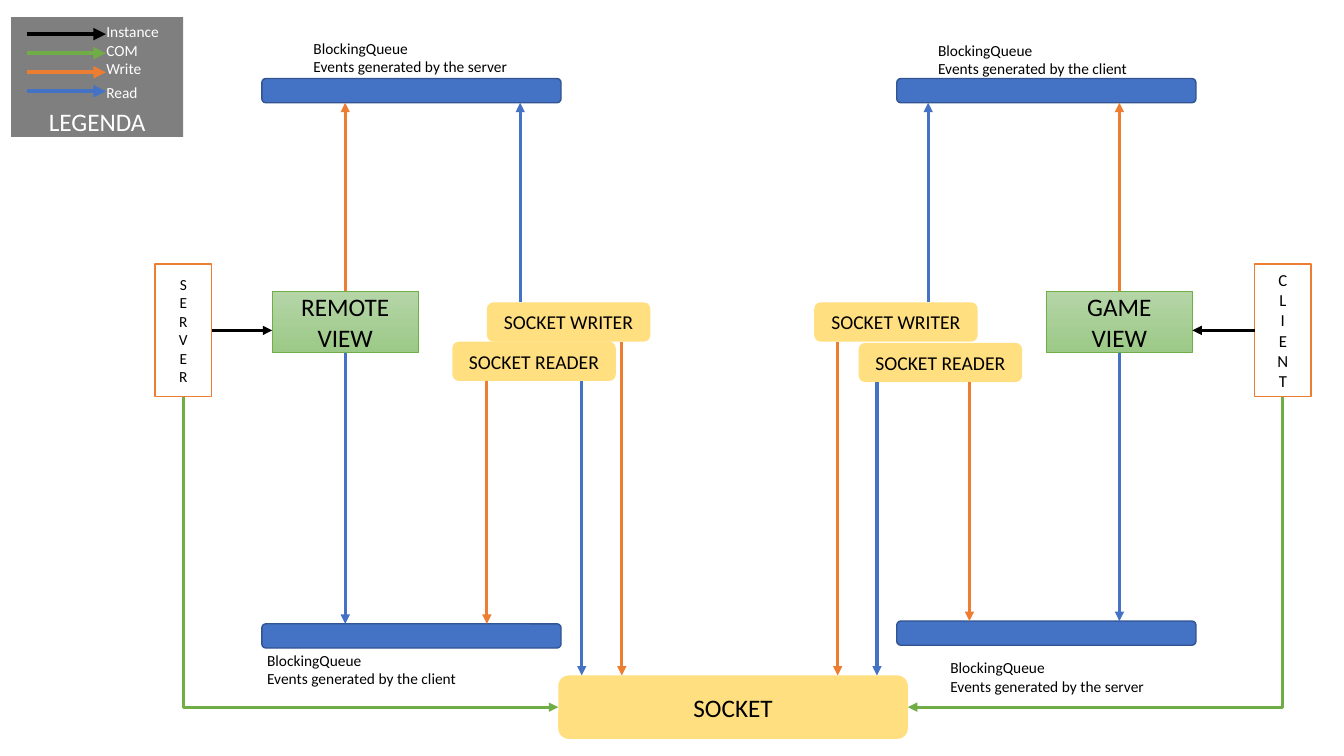
from dataclasses import dataclass

from lxml.etree import SubElement
from pptx import Presentation
from pptx.dml.color import RGBColor
from pptx.enum.shapes import MSO_CONNECTOR, MSO_SHAPE
from pptx.enum.text import MSO_ANCHOR, PP_ALIGN
from pptx.oxml.ns import qn
from pptx.util import Cm, Pt


@dataclass(frozen=True)
class Theme:
    font: str = "Calibri"
    black: str = "000000"
    white: str = "FFFFFF"
    blue: str = "4472C4"
    navy: str = "325491"
    orange: str = "ED7D31"
    green: str = "70AD47"
    gold: str = "FFC000"
    light_green: str = "B5D5A7"
    mid_green: str = "9CC987"
    small: int = 11
    letter: int = 12
    medium: int = 14
    large: int = 18
    arrow: float = 2.25
    legend_arrow: float = 3


T = Theme()
TOP, LEFT, BOTTOM, RIGHT = range(4)
HALF = 50  # percent opacity

# Kind of box: preset, size in cm, fill, opacity, line colour, line width, type size
KINDS = {
    "legend": (MSO_SHAPE.RECTANGLE, (4.34, 3.02), T.black, HALF, None, 0, T.large),
    "server": (MSO_SHAPE.RECTANGLE, (1.42, 3.35), T.white, None, T.orange, 1, T.small),
    "client": (MSO_SHAPE.RECTANGLE, (1.42, 3.35), T.white, None, T.orange, 1, T.letter),
    "socket": (MSO_SHAPE.ROUNDED_RECTANGLE, (8.81, 1.6), T.gold, HALF, None, 0, T.large),
    "view": (MSO_SHAPE.RECTANGLE, (3.68, 1.55), (T.light_green, T.mid_green), None,
             T.green, 0.5, T.large),
    "queue": (MSO_SHAPE.ROUNDED_RECTANGLE, (7.54, 0.61), T.blue, None, T.navy, 1, T.small),
    "worker": (MSO_SHAPE.ROUNDED_RECTANGLE, (4.12, 0.99), T.gold, HALF, None, 0, T.medium),
}

# Name: kind, left, top, text
BOXES = {
    "legend": ("legend", 0.28, 0.43, "LEGENDA"),
    "server": ("server", 3.91, 6.65, "S\nE\nR\nV\nE\nR"),
    "client": ("client", 31.62, 6.65, "C\nL\nI\nE\nN\nT"),
    "socket": ("socket", 14.07, 17.02, "SOCKET"),
    "remote view": ("view", 6.86, 7.34, "REMOTE\nVIEW"),
    "game view": ("view", 26.37, 7.34, "GAME\nVIEW"),
    "server out": ("queue", 6.6, 1.98, ""),
    "server in": ("queue", 6.6, 15.72, ""),
    "client out": ("queue", 22.6, 1.98, ""),
    "client in": ("queue", 22.6, 15.65, ""),
    "server writer": ("worker", 12.27, 7.62, "SOCKET WRITER"),
    "client writer": ("worker", 20.52, 7.62, "SOCKET WRITER"),
    "server reader": ("worker", 11.4, 8.61, "SOCKET READER"),
    "client reader": ("worker", 21.64, 8.64, "SOCKET READER"),
}

QUEUE_LABELS = [  # left, top, whose events
    (7.65, 0.86, "server"),
    (6.48, 16.28, "client"),
    (23.39, 0.91, "client"),
    (23.7, 16.46, "server"),
]

VERTICAL_ARROWS = [  # from, to, colour, x (None: middle of the first box)
    ("remote view", "server out", T.orange, None),
    ("remote view", "server in", T.blue, None),
    ("game view", "client out", T.orange, None),
    ("game view", "client in", T.blue, None),
    ("server writer", "server out", T.blue, 13.11),
    ("server writer", "socket", T.orange, 15.67),
    ("server reader", "socket", T.blue, 14.66),
    ("server reader", "server in", T.orange, 12.27),
    ("client writer", "client out", T.blue, 23.39),
    ("client writer", "socket", T.orange, 21.11),
    ("client reader", "socket", T.blue, 22.1),
    ("client reader", "client in", T.orange, 24.43),
]

SIDES = [("server", "remote view", RIGHT, LEFT), ("client", "game view", LEFT, RIGHT)]

LEGEND = [  # text, colour, top of the text
    ("Instance", T.black, 0.43),
    ("COM", T.green, 0.91),
    ("Write", T.orange, 1.37),
    ("Read", T.blue, 1.98),
]
LEGEND_Y, LEGEND_PITCH = 0.86, 0.48
LEGEND_X = (0.69, 2.67)


def rgb(code):
    return RGBColor.from_string(code)


def write(tf, text, size, color, align=PP_ALIGN.LEFT):
    p = tf.paragraphs[0]
    p.alignment = align
    for i, line in enumerate(text.split("\n")):
        if i:
            p.add_line_break()
        r = p.add_run()
        r.text = line
        r.font.name, r.font.size = T.font, Pt(size)
        r.font.color.rgb = rgb(color)


def paint(sp, color, opacity):
    """Fill with one colour, or with a downward gradient when given a pair."""
    if isinstance(color, tuple):
        sp.fill.gradient()
        sp.fill.gradient_angle = 270
        for stop, code in zip(sp.fill.gradient_stops, color):
            stop.color.rgb = rgb(code)
        return
    sp.fill.solid()
    sp.fill.fore_color.rgb = rgb(color)
    if opacity:
        clr = sp._element.spPr.find(qn("a:solidFill")).find(qn("a:srgbClr"))
        SubElement(clr, qn("a:alpha"), val=str(opacity * 1000))


def add_box(slide, kind, left, top, text):
    preset, (w, h), color, opacity, line, weight, size = KINDS[kind]
    sp = slide.shapes.add_shape(preset, Cm(left), Cm(top), Cm(w), Cm(h))
    sp.shadow.inherit = False
    paint(sp, color, opacity)
    if line:
        sp.line.color.rgb = rgb(line)
        sp.line.width = Pt(weight)
    else:
        sp.line.fill.background()
    tf = sp.text_frame
    tf.vertical_anchor = MSO_ANCHOR.MIDDLE
    if kind == "legend":
        tf.vertical_anchor = MSO_ANCHOR.BOTTOM
        tf.margin_bottom = 0
    if text:
        write(tf, text, size, T.white if kind == "legend" else T.black, PP_ALIGN.CENTER)
    return sp


def add_label(slide, left, top, width, height, text, color):
    tb = slide.shapes.add_textbox(Cm(left), Cm(top), Cm(width), Cm(height))
    tb.text_frame.word_wrap = False
    write(tb.text_frame, text, T.small, color)


def add_arrow(slide, x1, y1, x2, y2, color, weight=T.arrow, kind=MSO_CONNECTOR.STRAIGHT):
    cxn = slide.shapes.add_connector(kind, x1, y1, x2, y2)
    cxn.line.color.rgb = rgb(color)
    cxn.line.width = Pt(weight)
    spPr = cxn._element.spPr
    SubElement(spPr.find(qn("a:ln")), qn("a:tailEnd"), type="triangle")
    SubElement(spPr, qn("a:effectLst"))
    return cxn


def add_elbow(slide, start, end, side):
    """Go down from the bottom of start, then across to a side of end."""
    x1, y1 = start.left + start.width // 2, start.top + start.height
    x2 = end.left if side == LEFT else end.left + end.width
    y2 = end.top + end.height // 2
    cxn = add_arrow(slide, x1, y1, x2, y2, T.green, kind=MSO_CONNECTOR.ELBOW)
    cxn.begin_connect(start, BOTTOM)
    cxn.end_connect(end, side)
    # A single bend is stored turned by a quarter, so width and height swap.
    dx, dy = abs(x2 - x1), y2 - y1
    cxn.left, cxn.top = (x1 + x2 - dy) // 2, (y1 + y2 - dx) // 2
    cxn.width, cxn.height = dy, dx
    spPr = cxn._element.spPr
    spPr.find(qn("a:prstGeom")).set("prst", "bentConnector2")
    xfrm = spPr.find(qn("a:xfrm"))
    xfrm.set("rot", str((270 if side == LEFT else 90) * 60000))
    xfrm.set("flipH", "1" if side == LEFT else "0")
    xfrm.set("flipV", "0")


def main():
    prs = Presentation()
    prs.slide_width, prs.slide_height = Cm(33.87), Cm(19.05)
    slide = prs.slides.add_slide(prs.slide_layouts[6])

    boxes = {name: add_box(slide, *box) for name, box in BOXES.items()}
    for left, top, side in QUEUE_LABELS:
        text = f"BlockingQueue\nEvents generated by the {side}"
        add_label(slide, left, top, 5.46, 1.19, text, T.black)

    for start, end, color, x in VERTICAL_ARROWS:
        a, b = boxes[start], boxes[end]
        up = b.top < a.top
        y1, y2 = (a.top, b.top + b.height) if up else (a.top + a.height, b.top)
        cx = a.left + a.width // 2 if x is None else Cm(x)
        cxn = add_arrow(slide, cx, y1, cx, y2, color)
        if x is None:
            cxn.begin_connect(a, TOP if up else BOTTOM)

    for start, end, out, into in SIDES:
        a, b = boxes[start], boxes[end]
        y = a.top + a.height // 2
        x1, x2 = (a.left + a.width, b.left) if out == RIGHT else (a.left, b.left + b.width)
        add_arrow(slide, x1, y, x2, y, T.black).begin_connect(a, out)
        add_elbow(slide, a, boxes["socket"], into)

    for i, (text, color, top) in enumerate(LEGEND):
        y = Cm(LEGEND_Y + i * LEGEND_PITCH)
        add_arrow(slide, Cm(LEGEND_X[0]), y, Cm(LEGEND_X[1]), y, color, T.legend_arrow)
        add_label(slide, 2.43, top, 1.85, 0.74, text, T.white)

    prs.save("out.pptx")


if __name__ == "__main__":
    main()
